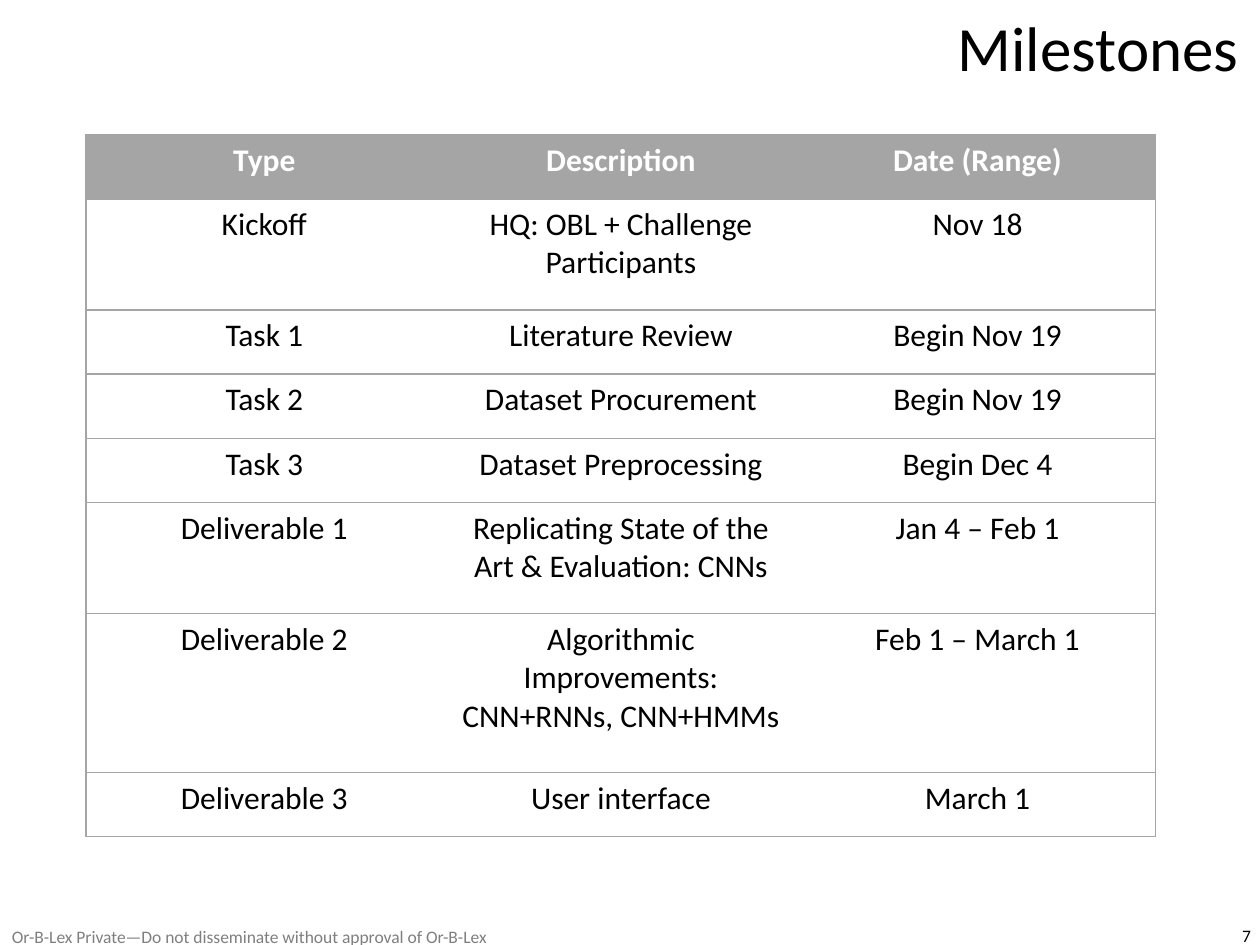
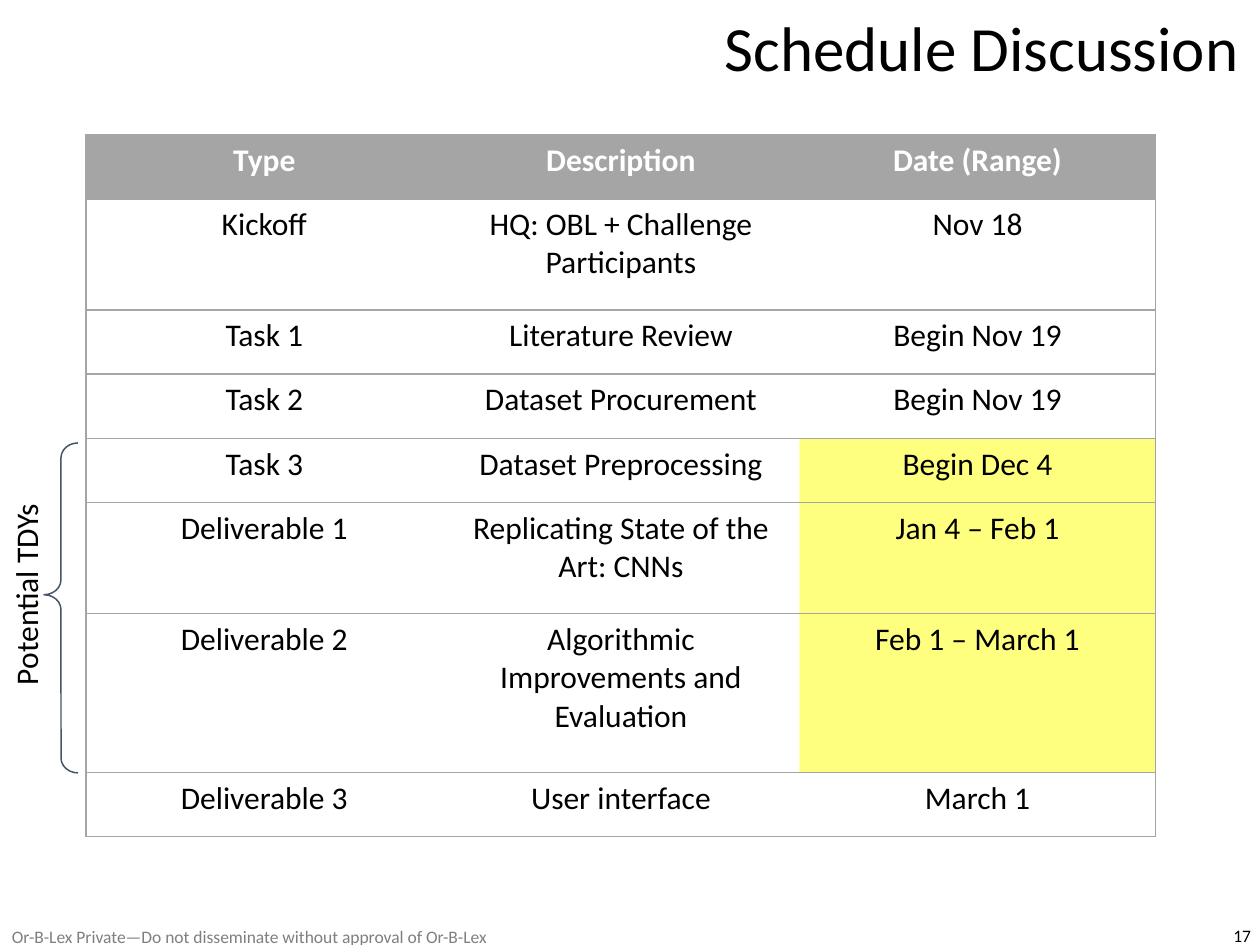
from lxml.etree import SubElement
from pptx import Presentation
from pptx.dml.color import RGBColor
from pptx.enum.shapes import MSO_SHAPE as Shape
from pptx.enum.text import MSO_ANCHOR as Anchor, PP_ALIGN as Align
from pptx.oxml import parse_xml
from pptx.oxml.ns import nsdecls, qn
from pptx.util import Pt

# Content
FOOTER = "Or-B-Lex Private—Do not disseminate without approval of Or-B-Lex"
HEADINGS = ("Type", "Description", "Date (Range)")
PHASES = [
    ("Kickoff", "Nov 18"),
    ("Task 1", "Begin Nov 19"),
    ("Task 2", "Begin Nov 19"),
    ("Task 3", "Begin Dec 4"),
    ("Deliverable 1", "Jan 4 – Feb 1"),
    ("Deliverable 2", "Feb 1 – March 1"),
    ("Deliverable 3", "March 1"),
]
DESCRIPTIONS = {
    "Kickoff": "HQ: OBL + Challenge Participants",
    "Task 1": "Literature Review",
    "Task 2": "Dataset Procurement",
    "Task 3": "Dataset Preprocessing",
    "Deliverable 3": "User interface",
}
PAGES = [
    {
        "title": "Milestones",
        "number": "7",
        "descriptions": {
            "Deliverable 1": "Replicating State of the Art & Evaluation: CNNs",
            "Deliverable 2": "Algorithmic Improvements:\nCNN+RNNs, CNN+HMMs",
        },
        "travel": (),
    },
    {
        "title": "Schedule Discussion",
        "number": "17",
        "descriptions": {
            "Deliverable 1": "Replicating State of the Art: CNNs",
            "Deliverable 2": "Algorithmic Improvements and Evaluation",
        },
        "travel": ("Task 3", "Deliverable 1", "Deliverable 2"),
    },
]
TRAVEL_LABEL = "Potential TDYs"

# Shared look, lengths in px
PX = 914400 // 126
SLIDE_W, SLIDE_H = 1260, 945
COLORS = {
    "ink": "000000",
    "header_text": "FFFFFF",
    "grid": "A5A5A5",
    "footer": "7F7F7F",
    "travel": "FFFF00",
    "brace": "44546A",
}
FONT = "Calibri"
TABLE_LEFT, TABLE_TOP, TABLE_W = 86, 135, 1070
ROW_HEIGHTS = (64, 111, 64, 65, 64, 111, 159, 64)
BRACE_W, BRACE_GAP = 34, 8
NO_STYLE = "{2D5ABB26-0587-4C30-8999-92F81FD0307C}"


def rgb(name):
    return RGBColor.from_string(COLORS[name])


def emu(*lengths):
    return [length * PX for length in lengths]


def write(frame, text, size, color, align=Align.LEFT, bold=False, spacing=None):
    frame.text = text
    for paragraph in frame.paragraphs:
        paragraph.alignment = align
        if spacing:
            paragraph.line_spacing = spacing
        font_format = {"name": FONT, "size": Pt(size), "bold": bold}
        for key, value in font_format.items():
            setattr(paragraph.font, key, value)
        paragraph.font.color.rgb = rgb(color)


def add_text(slide, box, text, size, color="ink", frame_format=None, **style):
    label = slide.shapes.add_textbox(*emu(*box))
    settings = {"word_wrap": True, **(frame_format or {})}
    for key, value in settings.items():
        setattr(label.text_frame, key, value)
    write(label.text_frame, text, size, color, **style)
    return label


def add_borders(cell, sides):
    properties = cell._tc.get_or_add_tcPr()
    for position, side in enumerate(sides):
        properties.insert(position, parse_xml(
            f'<a:ln{side} {nsdecls("a")} w="{Pt(0.75)}"><a:solidFill>'
            f'<a:srgbClr val="{COLORS["grid"]}"/></a:solidFill></a:ln{side}>'))


def fill_cell(cell, color, alpha=None):
    if color is None:
        cell.fill.background()
        return
    cell.fill.solid()
    cell.fill.fore_color.rgb = rgb(color)
    if alpha:
        shade = cell._tc.tcPr.find(qn("a:solidFill")).find(qn("a:srgbClr"))
        SubElement(shade, qn("a:alpha")).set("val", str(alpha * 1000))


def add_schedule(slide, page):
    descriptions = {**DESCRIPTIONS, **page["descriptions"]}
    rows = [HEADINGS] + [(name, descriptions[name], date) for name, date in PHASES]
    last = len(HEADINGS) - 1
    schedule = slide.shapes.add_table(
        len(rows), len(HEADINGS),
        *emu(TABLE_LEFT, TABLE_TOP, TABLE_W, sum(ROW_HEIGHTS))).table
    schedule.horz_banding = False
    schedule._tbl.tblPr.find(qn("a:tableStyleId")).text = NO_STYLE
    for column in schedule.columns:
        column.width = TABLE_W * PX // len(HEADINGS)
    for r, (row, height) in enumerate(zip(rows, ROW_HEIGHTS)):
        schedule.rows[r].height = height * PX
        for c, text in enumerate(row):
            cell = schedule.cell(r, c)
            header = r == 0
            write(cell.text_frame, text, 18, "header_text" if header else "ink",
                  align=Align.CENTER, bold=header)
            if header:
                fill_cell(cell, "grid")
            elif c == last and row[0] in page["travel"]:
                fill_cell(cell, "travel", alpha=50)
            else:
                fill_cell(cell, None)
            sides = ["L"] * (c == 0) + ["R"] * (c == last) + ["T", "B"]
            add_borders(cell, sides)


def add_travel_brace(slide, travel):
    # The brace spans the rows of the phases that may need travel
    names = [HEADINGS[0]] + [name for name, _ in PHASES]
    first, end = names.index(travel[0]), names.index(travel[-1]) + 1
    top = TABLE_TOP + sum(ROW_HEIGHTS[:first]) + 4
    bottom = TABLE_TOP + sum(ROW_HEIGHTS[:end])
    left = TABLE_LEFT - BRACE_GAP - BRACE_W
    label = add_text(slide, (-81, 566, 213, 50), TRAVEL_LABEL, 18,
                     frame_format={"word_wrap": False})
    label.rotation = 270
    brace = slide.shapes.add_shape(
        Shape.LEFT_BRACE, *emu(left, top, BRACE_W, bottom - top))
    brace.shadow.inherit = False
    brace.fill.background()
    brace.line.color.rgb = rgb("brace")
    brace.line.width = Pt(0.85)
    brace.adjustments[0], brace.adjustments[1] = 0.44, 0.46


def add_page(deck, page):
    slide = deck.slides.add_slide(deck.slide_layouts[6])
    # Footer and page number
    no_margins = dict.fromkeys(
        ("margin_left", "margin_top", "margin_right", "margin_bottom"), 0)
    add_text(slide, (12, 926, 769, 19), FOOTER, 10, "footer", no_margins)
    add_text(slide, (1085, 919, 175, 26), page["number"], 10,
             frame_format={"margin_right": 9 * PX}, align=Align.RIGHT)
    # Table, title and brace
    add_schedule(slide, page)
    add_text(slide, (226, 9, 1025, 84), page["title"], 36,
             frame_format={"vertical_anchor": Anchor.MIDDLE},
             align=Align.RIGHT, spacing=0.9)
    if page["travel"]:
        add_travel_brace(slide, page["travel"])


def main():
    deck = Presentation()
    deck.slide_width, deck.slide_height = emu(SLIDE_W, SLIDE_H)
    for page in PAGES:
        add_page(deck, page)
    deck.save("out.pptx")


if __name__ == "__main__":
    main()
